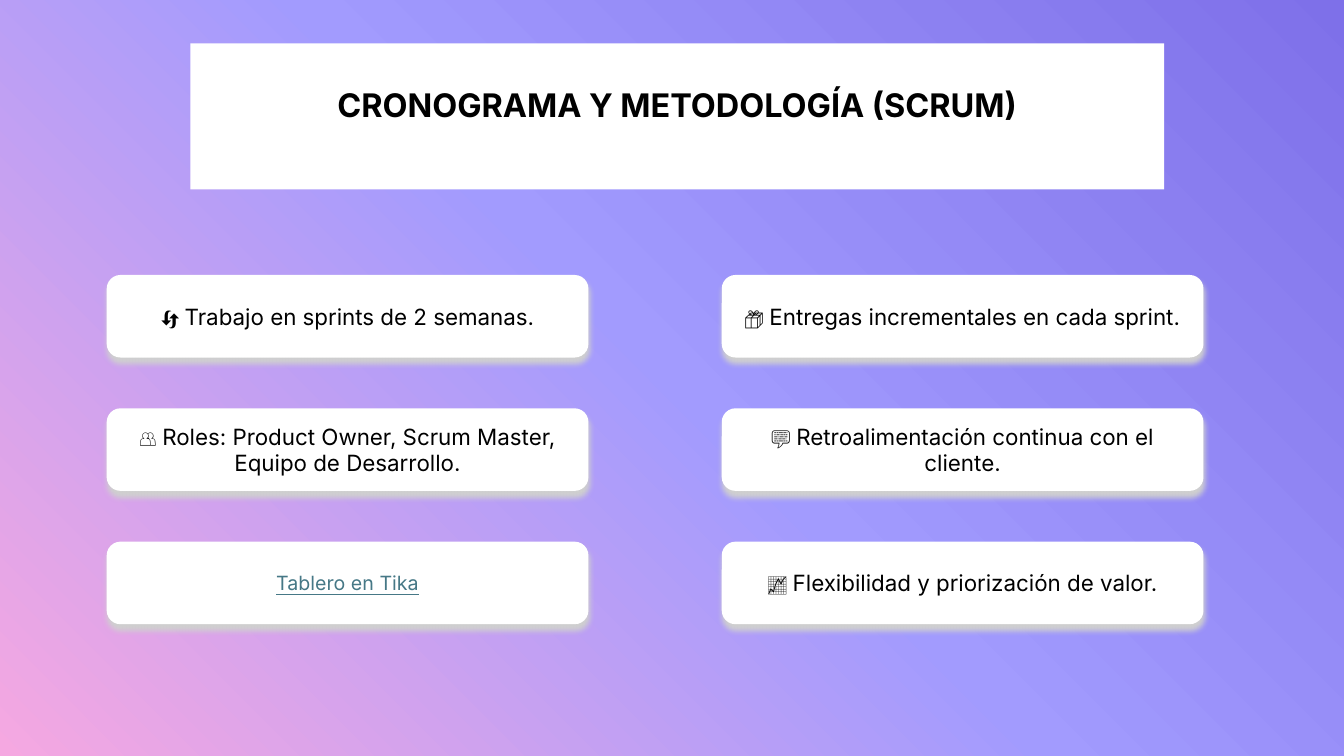
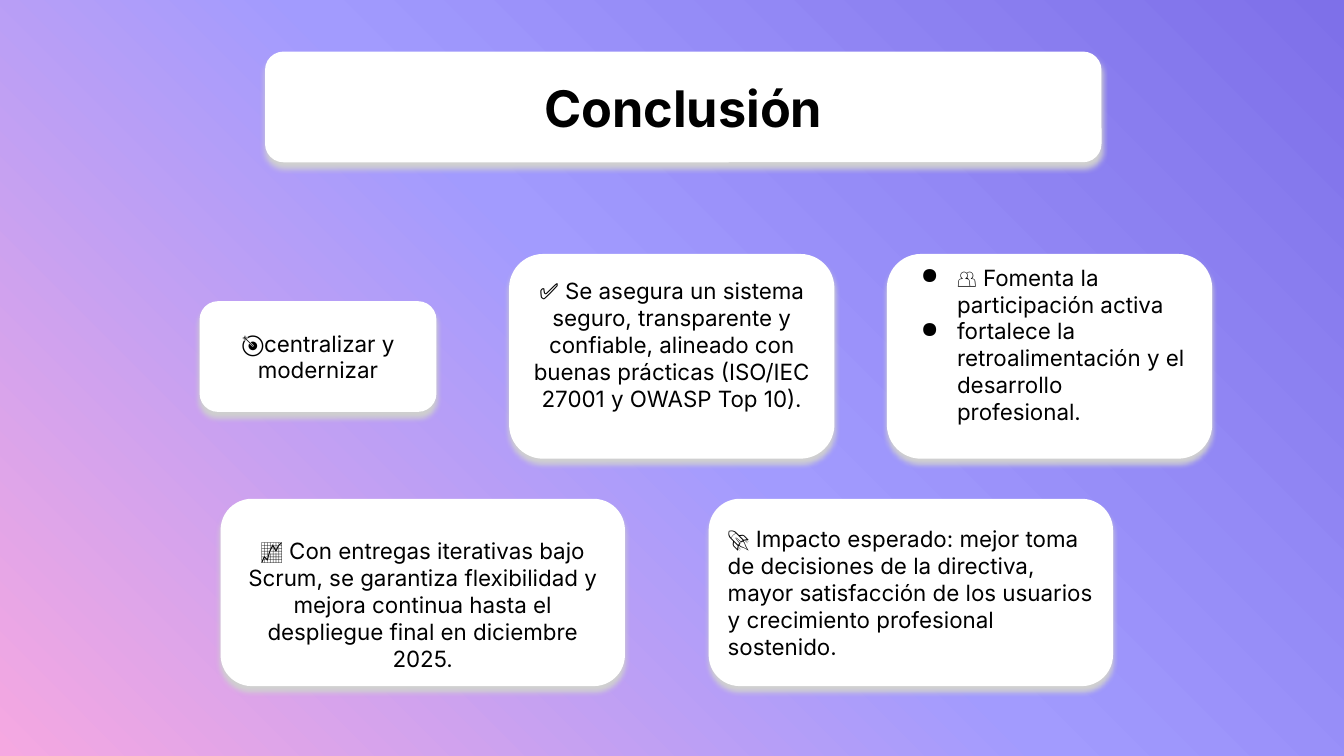
import dataclasses

import pptx
import pptx.dml.color
import pptx.enum.shapes
import pptx.enum.text
import pptx.oxml
import pptx.oxml.ns
import pptx.util

Cm = pptx.util.Cm
Pt = pptx.util.Pt
Align = pptx.enum.text.PP_ALIGN
qn = pptx.oxml.ns.qn

FONT = "Inter"
BLACK, WHITE, LINK, SHADE = "000000", "FFFFFF", "467886", "D0D0D0"
STOPS = ((0, "F5A8E1"), (50, "A29BFE"), (100, "7E70E9"))
SPACE = 'xmlns:a="http://schemas.openxmlformats.org/drawingml/2006/main"'


@dataclasses.dataclass(frozen=True)
class Box:
    left: float
    top: float
    width: float
    height: float


@dataclasses.dataclass(frozen=True)
class Card:
    box: Box
    lines: tuple[str, ...] = ()
    icon: str = ""
    bold: bool = False
    size: int = 16
    color: str = BLACK
    under: bool = False
    align: Align = Align.CENTER
    bullets: bool = False
    above: float = 0.13
    below: float = 0.13


def rgb(code: str) -> pptx.dml.color.RGBColor:
    return pptx.dml.color.RGBColor.from_string(code)


def place(shape, box: Box) -> None:
    shape.left, shape.top = Cm(box.left), Cm(box.top)
    shape.width, shape.height = Cm(box.width), Cm(box.height)


def style(font, size: int, color: str = BLACK, bold: bool = False) -> None:
    font.name, font.size, font.bold = FONT, Pt(size), bold
    font.color.rgb = rgb(color)


def paint(master) -> None:
    """Give every slide the same gradient, spreading from the lower left."""
    master.background.fill.gradient()
    old = next(master.element.iter(qn("a:gradFill")))
    stops = "".join(
        f'<a:gs pos="{spot * 1000}"><a:srgbClr val="{color}"/></a:gs>'
        for spot, color in STOPS
    )
    new = pptx.oxml.parse_xml(
        f'<a:gradFill {SPACE} rotWithShape="1"><a:gsLst>{stops}</a:gsLst>'
        '<a:path path="circle"><a:fillToRect t="100000" r="100000"/></a:path>'
        "</a:gradFill>"
    )
    old.getparent().replace(old, new)


def shade(shape) -> None:
    """Add a soft shadow straight below the shape."""
    shape.shadow.inherit = False
    cast = pptx.oxml.parse_xml(
        f'<a:outerShdw {SPACE} blurRad="{Pt(4)}" dist="{Pt(4)}" dir="5400000" '
        f'algn="t" rotWithShape="0"><a:srgbClr val="{SHADE}"/></a:outerShdw>'
    )
    next(shape.element.iter(qn("a:effectLst"))).append(cast)


def bullet(para) -> None:
    props = para._p.get_or_add_pPr()
    props.set("marL", str(Cm(1.27)))
    props.set("indent", str(-Cm(0.91)))
    for part in (
        f'<a:buClr {SPACE}><a:srgbClr val="{BLACK}"/></a:buClr>',
        f'<a:buChar {SPACE} char="●"/>',
    ):
        props.append(pptx.oxml.parse_xml(part))


def draw(slide, card: Card) -> None:
    kind = pptx.enum.shapes.MSO_SHAPE.ROUNDED_RECTANGLE
    shape = slide.shapes.add_shape(kind, 0, 0, 0, 0)
    place(shape, card.box)
    shape.fill.solid()
    shape.fill.fore_color.rgb = rgb(WHITE)
    shape.line.fill.background()
    shade(shape)
    frame = shape.text_frame
    frame.word_wrap = True
    frame.vertical_anchor = pptx.enum.text.MSO_ANCHOR.MIDDLE
    frame.margin_top, frame.margin_bottom = Cm(card.above), Cm(card.below)
    for index, line in enumerate(card.lines):
        para = frame.add_paragraph() if index else frame.paragraphs[0]
        para.alignment = card.align
        if card.bullets:
            bullet(para)
        if card.icon:
            mark = para.add_run()
            mark.text = card.icon + " "
            style(mark.font, 14, bold=card.bold)
        run = para.add_run()
        run.text = line
        style(run.font if card.icon else para.font, card.size, card.color)
        if card.under:
            run.font.underline = True


def head(slide, text: str, box: Box, size: int):
    """Fill the title and bring it in front of any card already drawn."""
    title = slide.shapes.title
    place(title, box)
    title.element.getparent().append(title.element)
    frame = title.text_frame
    frame.word_wrap = True
    frame.auto_size = pptx.enum.text.MSO_AUTO_SIZE.NONE
    frame.vertical_anchor = pptx.enum.text.MSO_ANCHOR.MIDDLE
    para = frame.paragraphs[0]
    para.alignment = Align.CENTER
    run = para.add_run()
    run.text = text
    style(run.font, size, bold=True)
    return title


def plan(slide) -> None:
    """Schedule and method: a plain title band over a grid of cards."""
    title = head(
        slide, "CRONOGRAMA Y METODOLOGÍA (SCRUM)", Box(4.8, 1.09, 24.54, 3.68), 40
    )
    title.fill.solid()
    title.fill.fore_color.rgb = rgb(WHITE)
    para = title.text_frame.paragraphs[0]
    para.line_spacing = 0.9
    para.runs[0]._r.get_or_add_rPr().set("baseline", "30000")

    def cell(col: int, row: int) -> Box:
        return Box(2.69 + 15.5 * col, 6.93 + 3.36 * row, 12.14, 2.08)

    for card in (
        Card(cell(0, 0), ("Trabajo en sprints de 2 semanas.",), "🔄", bold=True),
        Card(
            cell(0, 1),
            ("Roles: Product Owner, Scrum Master, Equipo de Desarrollo.",),
            "👥",
        ),
        Card(cell(0, 2), ("Tablero en Tika",), size=14, color=LINK, under=True),
        Card(cell(1, 0), ("Entregas incrementales en cada sprint.",), "📦"),
        Card(cell(1, 1), ("Retroalimentación continua con el cliente.",), "💬"),
        Card(cell(1, 2), ("Flexibilidad y priorización de valor.",), "📈"),
    ):
        draw(slide, card)


def close(slide) -> None:
    """Conclusion: a rounded title card, then two rows of cards."""
    top = Box(6.68, 1.3, 21.08, 2.79)
    draw(slide, Card(top))
    head(slide, "Conclusión", top, 36)
    for card in (
        Card(Box(5.03, 7.59, 5.97, 2.79), ("🎯centralizar y modernizar",)),
        Card(
            Box(12.83, 6.4, 8.2, 5.16),
            (
                "✅ Se asegura un sistema seguro, transparente y confiable, "
                "alineado con buenas prácticas (ISO/IEC 27001 y OWASP Top 10).",
            ),
            below=0.73,
        ),
        Card(
            Box(22.35, 6.4, 8.2, 5.16),
            (
                "👥 Fomenta la participación activa",
                "fortalece la retroalimentación y el desarrollo profesional.",
            ),
            align=Align.LEFT,
            bullets=True,
            below=0.73,
        ),
        Card(
            Box(5.56, 12.57, 10.19, 4.72),
            (
                "📈 Con entregas iterativas bajo Scrum, se garantiza flexibilidad "
                "y mejora continua hasta el despliegue final en diciembre 2025.",
            ),
            above=0.73,
        ),
        Card(
            Box(17.86, 12.57, 10.19, 4.72),
            (
                "🚀 Impacto esperado: mejor toma de decisiones de la directiva, "
                "mayor satisfacción de los usuarios y crecimiento profesional "
                "sostenido.",
            ),
            align=Align.LEFT,
        ),
    ):
        draw(slide, card)


def main() -> None:
    deck = pptx.Presentation()
    deck.slide_width, deck.slide_height = Cm(33.87), Cm(19.05)
    paint(deck.slide_master)
    layout = deck.slide_layouts.get_by_name("Title Only")
    for build in (plan, close):
        build(deck.slides.add_slide(layout))
    deck.save("out.pptx")


if __name__ == "__main__":
    main()
